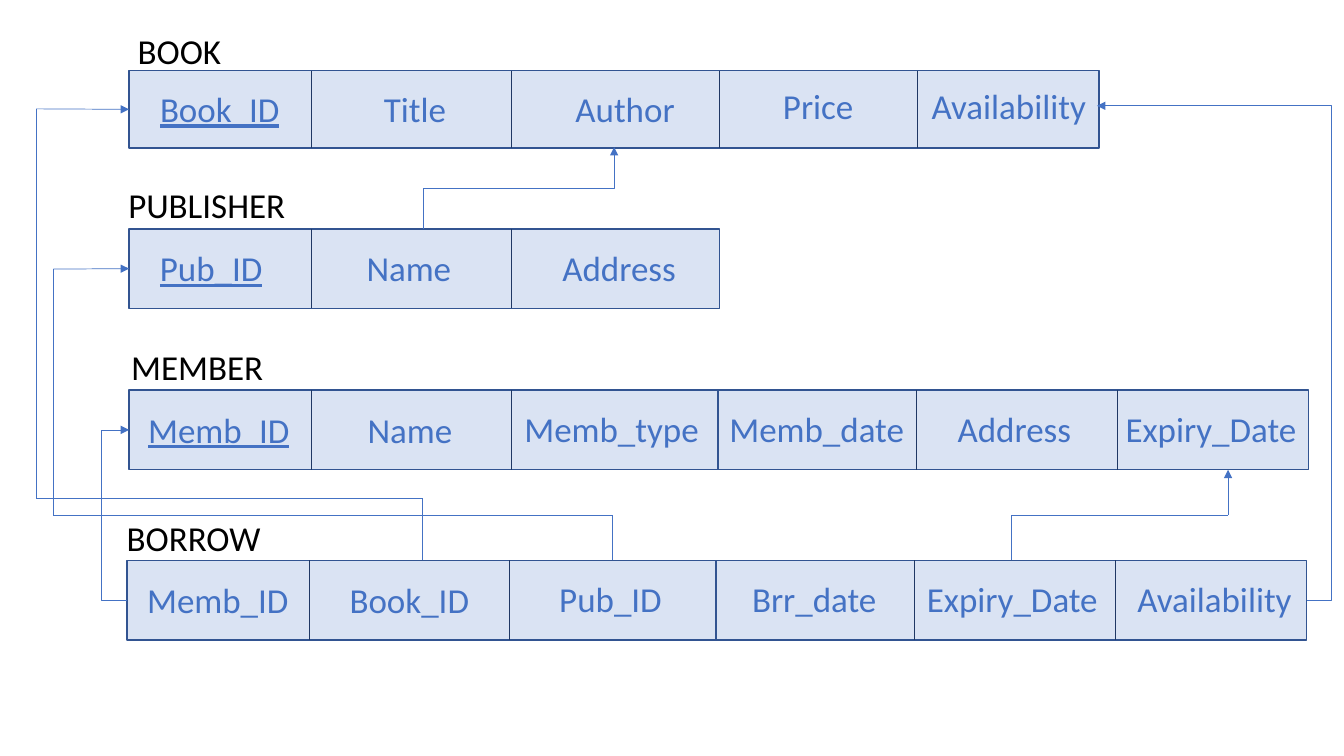
from dataclasses import dataclass
from itertools import pairwise

from lxml import etree
from pptx import Presentation
from pptx.dml.color import RGBColor
from pptx.enum.shapes import MSO_CONNECTOR, MSO_SHAPE
from pptx.enum.text import MSO_AUTO_SIZE, PP_ALIGN
from pptx.oxml.ns import qn
from pptx.util import Inches, Pt

RECT = MSO_SHAPE.RECTANGLE
LINE, ELBOW = MSO_CONNECTOR.STRAIGHT, MSO_CONNECTOR.ELBOW
CENTER = PP_ALIGN.CENTER
FIT = MSO_AUTO_SIZE.SHAPE_TO_FIT_TEXT
TOP, LEFT, RIGHT = 0, 1, 3


@dataclass
class Theme:
    font: str = "Calibri"
    size: float = 25
    ink: str = "000000"
    blue: str = "4472C4"
    fill: str = "DAE3F3"
    edge: str = "325491"
    rule: str = "203864"
    thin: float = 0.5
    thick: float = 1


def put_text(frame, text, *, font, size, color, under=False):
    """Write one centred, unwrapped line."""
    frame.word_wrap = False
    frame.auto_size = FIT
    para = frame.paragraphs[0]
    para.alignment = CENTER
    run = para.add_run()
    run.text = text
    run.font.name, run.font.size = font, Pt(size)
    run.font.color.rgb = RGBColor.from_string(color)
    run.font.underline = under


class Board:
    def __init__(self, slide, theme):
        self.slide, self.theme = slide, theme

    def stroke(self, line, color, width):
        line.color.rgb = RGBColor.from_string(color)
        line.width = Pt(width)

    def frame(self, left, top, width, height):
        box = self.slide.shapes.add_shape(
            RECT, Inches(left), Inches(top), Inches(width), Inches(height))
        box.shadow.inherit = False
        box.fill.solid()
        box.fill.fore_color.rgb = RGBColor.from_string(self.theme.fill)
        self.stroke(box.line, self.theme.edge, self.theme.thick)
        return box

    def text(self, text, left, top, width, color, under=False):
        box = self.slide.shapes.add_textbox(
            Inches(left), Inches(top), Inches(width), Inches(0.52))
        put_text(box.text_frame, text, font=self.theme.font,
                 size=self.theme.size, color=color, under=under)

    def line(self, start, end, color, kind=LINE, arrow=False):
        link = self.slide.shapes.add_connector(
            kind, *(Inches(n) for n in (*start, *end)))
        self.stroke(link.line, color, self.theme.thin)
        if arrow:
            etree.SubElement(link.line._get_or_add_ln(), qn("a:tailEnd"), type="triangle")
        etree.SubElement(link._element.spPr, qn("a:effectLst"))
        return link

    def route(self, points, source, target=None):
        """Join points by straight lines, with an arrow on the last."""
        links = [self.line(a, b, self.theme.blue, arrow=b == points[-1])
                 for a, b in pairwise(points)]
        links[0].begin_connect(source, TOP)
        if target:
            links[-1].end_connect(target, LEFT)

    def bend(self, start, end, ratio):
        """Elbow that leaves sideways; ratio places its middle leg."""
        link = self.line(start, end, self.theme.blue, ELBOW, True)
        guides = link._element.spPr.find(qn("a:prstGeom")).find(qn("a:avLst"))
        etree.SubElement(guides, qn("a:gd"), name="adj1",
                         fmla=f"val {round(ratio * 100000)}")
        return link

    def climb(self, start, end):
        """Elbow that leaves upright: a sideways one turned by 90 degrees."""
        mid_x, mid_y = (start[0] + end[0]) / 2, (start[1] + end[1]) / 2
        ends = [(mid_x + y - mid_y, mid_y - x + mid_x) for x, y in (start, end)]
        link = self.bend(*ends, 0.5)
        link._element.spPr.find(qn("a:xfrm")).set("rot", str(90 * 60000))

    def row(self, name, left, top, height, widths, cuts, label, cells, keyed=True):
        """Draw a relation: frames, dividers, label and fields."""
        starts = [left + i * HALF for i in range(len(widths))]
        frames = [self.frame(x, top, w, height) for x, w in zip(starts, widths)]
        for cut in cuts:
            x = left + cut
            self.line((x, top), (x, top + height), self.theme.rule)
        self.text(name, *label, self.theme.ink)
        for i, (field, x, y, width) in enumerate(cells):
            self.text(field, x, y, width, self.theme.blue, keyed and i == 0)
        return frames


HALF = 5.84  # step between the two frames of a long row
CUTS = [1.81, 3.79, 5.85, 7.82]
LONG = [1.81, 3.79, 7.81, 9.8]


def main():
    deck = Presentation()
    deck.slide_width, deck.slide_height = Inches(13.33), Inches(7.5)
    board = Board(deck.slides.add_slide(deck.slide_layouts[6]), Theme())

    # Relations
    book, = board.row(
        "BOOK", 1.28, 0.7, 0.77, [9.62], CUTS, (1.26, 0.24, 1.04),
        [("Book_ID", 1.48, 0.82, 1.4), ("Title", 3.7, 0.82, 0.83),
         ("Author", 5.6, 0.82, 1.2), ("Price", 7.66, 0.79, 0.91),
         ("Availability", 9.13, 0.79, 1.75)])
    press, = board.row(
        "PUBLISHER", 1.28, 2.27, 0.79, [5.86], CUTS[:2], (1.16, 1.77, 1.78),
        [("Pub_ID", 1.48, 2.4, 1.23), ("Name", 3.53, 2.4, 1.05),
         ("Address", 5.47, 2.4, 1.34)])
    member, _ = board.row(
        "MEMBER", 1.28, 3.87, 0.79, [5.86, 5.86], LONG, (1.19, 3.38, 1.53),
        [("Memb_ID", 1.36, 4, 1.62), ("Name", 3.54, 4, 1.05),
         ("Memb_type", 5.09, 3.99, 1.95), ("Memb_date", 7.12, 3.99, 1.96),
         ("Address", 9.39, 3.99, 1.34), ("Expiry_Date", 11.05, 3.99, 1.92)])
    loan, due = board.row(
        "BORROW", 1.26, 5.56, 0.79, [5.86, 5.86], LONG, (1.15, 5.07, 1.54),
        [("Memb_ID", 1.35, 5.69, 1.62), ("Book_ID", 3.36, 5.69, 1.4),
         ("Pub_ID", 5.44, 5.68, 1.23), ("Brr_date", 7.35, 5.68, 1.45),
         ("Expiry_Date", 9.08, 5.68, 1.92), ("Availability", 11.17, 5.68, 1.75)],
        keyed=False)

    # Elbow links
    board.climb((4.2, 2.27), (6.09, 1.46))
    stock = board.bend((12.96, 5.95), (10.88, 1.05), -0.12)
    stock.begin_connect(due, RIGHT)
    person = board.bend((1.26, 5.95), (1.28, 4.26), -12.5)
    person.begin_connect(loan, LEFT)
    person.end_connect(member, LEFT)

    # Links made of straight legs
    board.route([(4.19, 5.56), (4.19, 4.94), (0.36, 4.94), (0.36, 1.08),
                 (1.28, 1.08)], loan, book)
    board.route([(10.03, 5.56), (10.03, 5.11), (12.18, 5.11), (12.18, 4.66)], due)

    # The publisher link starts beside the frame's middle
    stops = [(6.07, 5.56), (6.07, 5.11), (0.53, 5.11), (0.53, 2.67), (1.28, 2.67)]
    legs = [board.line(a, b, board.theme.blue, arrow=b == stops[-1])
            for a, b in pairwise(stops)]
    legs[-1].end_connect(press, LEFT)

    deck.save("out.pptx")


if __name__ == "__main__":
    main()
